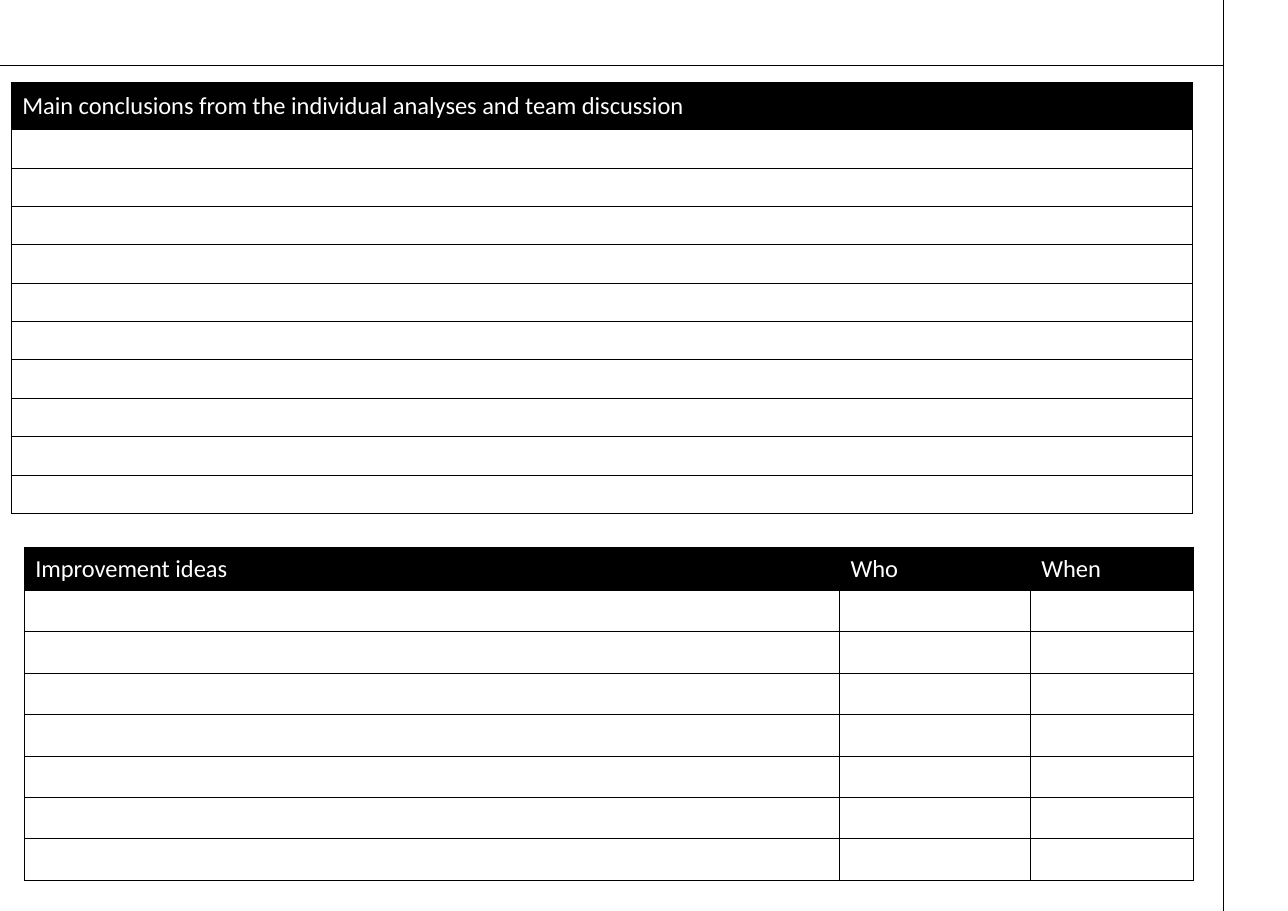
from dataclasses import dataclass

from lxml.etree import SubElement
from pptx import Presentation
from pptx.dml.color import RGBColor
from pptx.enum.shapes import MSO_CONNECTOR as Connector
from pptx.enum.text import MSO_ANCHOR as Anchor
from pptx.oxml.ns import qn
from pptx.util import Cm, Pt


@dataclass(frozen=True)
class Theme:
    ink: str = "000000"
    paper: str = "FFFFFF"
    font: str = "Calibri"
    header_size: float = 16
    line_width: float = 0.5


THEME = Theme()
PAGE_WIDTH, PAGE_HEIGHT = 29.7, 21
MARGIN_X, HEADER_Y = 28.2, 1.5


def write_text(frame, text, *, size, color, font=THEME.font):
    span = frame.paragraphs[0].add_run()
    span.text = text
    span.font.name = font
    span.font.size = Pt(size)
    span.font.color.rgb = RGBColor.from_string(color)


def add_rule(page, start, end):
    ends = [Cm(value) for value in (*start, *end)]
    rule = page.shapes.add_connector(Connector.STRAIGHT, *ends)
    rule.line.color.rgb = RGBColor.from_string(THEME.ink)
    rule.line.width = Pt(THEME.line_width)
    SubElement(rule._element.spPr, qn("a:effectLst"))


def add_borders(cell):
    properties = cell._tc.get_or_add_tcPr()
    for side in ("lnL", "lnR", "lnT", "lnB"):
        border = SubElement(properties, qn(f"a:{side}"), w=str(Pt(THEME.line_width)))
        fill = SubElement(border, qn("a:solidFill"))
        SubElement(fill, qn("a:srgbClr"), val=THEME.ink)


def fill_cell(cell, color):
    add_borders(cell)
    cell.fill.solid()
    cell.fill.fore_color.rgb = RGBColor.from_string(color)


def add_form_table(page, left, top, height, columns, header_height, blank_rows):
    widths = columns.values()
    frame = page.shapes.add_table(
        blank_rows + 1, len(columns), Cm(left), Cm(top), Cm(sum(widths)), Cm(height)
    )
    table = frame.table
    table.first_row = table.horz_banding = False
    for column, width in zip(table.columns, widths):
        column.width = Cm(width)
    header, *blanks = table.rows
    header.height = Cm(header_height)
    for cell, heading in zip(header.cells, columns):
        fill_cell(cell, THEME.ink)
        cell.vertical_anchor = Anchor.MIDDLE
        write_text(cell.text_frame, heading, size=THEME.header_size, color=THEME.paper)
    for row in blanks:
        row.height = Cm((height - header_height) / blank_rows)
        for cell in row.cells:
            fill_cell(cell, THEME.paper)
            cell.margin_top = cell.margin_bottom = 0


def main():
    deck = Presentation()
    deck.slide_width, deck.slide_height = Cm(PAGE_WIDTH), Cm(PAGE_HEIGHT)
    page = deck.slides.add_slide(deck.slide_layouts[6])

    add_rule(page, (MARGIN_X, PAGE_HEIGHT), (MARGIN_X, 0))
    add_form_table(
        page, left=0.56, top=12.62, height=7.67, header_height=0.99, blank_rows=7,
        columns={"Improvement ideas": 18.8, "Who": 4.4, "When": 3.76},
    )
    add_rule(page, (MARGIN_X, HEADER_Y), (0, HEADER_Y))
    add_form_table(
        page, left=0.26, top=1.9, height=9.93, header_height=1.09, blank_rows=10,
        columns={"Main conclusions from the individual analyses and team discussion": 27.23},
    )
    deck.save("out.pptx")


if __name__ == "__main__":
    main()
